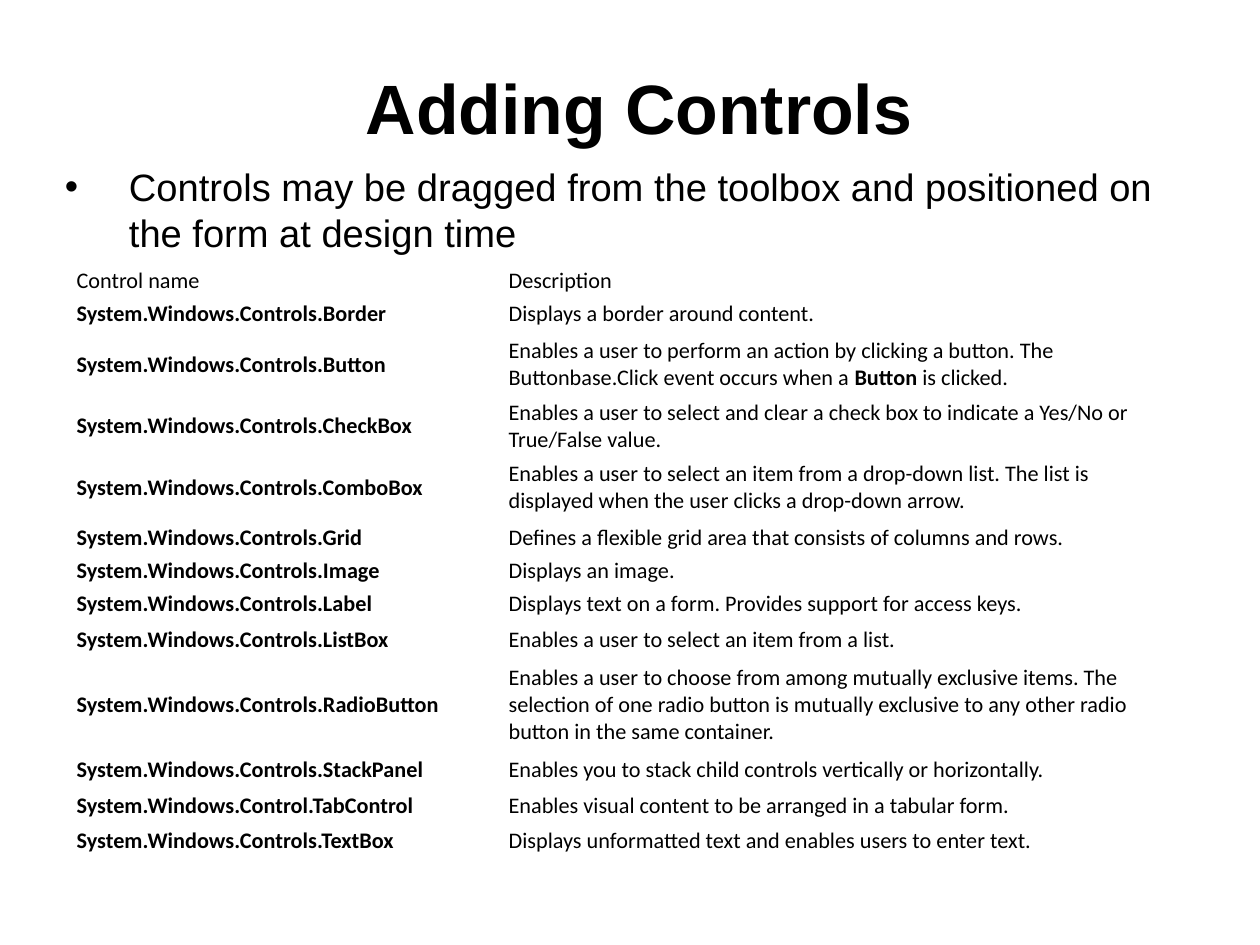
from lxml import etree
from pptx import Presentation
from pptx.dml.color import RGBColor
from pptx.enum import text
from pptx.oxml import ns
from pptx.util import Cm, Inches, Pt

BLACK = RGBColor(0, 0, 0)
COLS = 3.78, 5.75
ROWS = (
    (0.17, "Control name", "Description"),
    (0.31, "Controls.Border", "Displays a border around content."),
    (0.57, "Controls.Button",
     "Enables a user to perform an action by clicking a button. "
     "The Buttonbase.Click event occurs when a *Button* is clicked."),
    (0.44, "Controls.CheckBox",
     "Enables a user to select and clear a check box to indicate "
     "a Yes/No or True/False value."),
    (0.57, "Controls.ComboBox",
     "Enables a user to select an item from a drop-down list. "
     "The list is displayed when the user clicks a drop-down arrow."),
    (0.31, "Controls.Grid",
     "Defines a flexible grid area that consists of columns and rows."),
    (0.17, "Controls.Image", "Displays an image."),
    (0.31, "Controls.Label",
     "Displays text on a form. Provides support for access keys."),
    (0.31, "Controls.ListBox",
     "Enables a user to select an item from a list."),
    (0.83, "Controls.RadioButton",
     "Enables a user to choose from among mutually exclusive items. "
     "The selection of one radio button is mutually exclusive to any "
     "other radio button in the same container."),
    (0.31, "Controls.StackPanel",
     "Enables you to stack child controls vertically or horizontally."),
    (0.31, "Control.TabControl",
     "Enables visual content to be arranged in a tabular form."),
    (0.31, "Controls.TextBox",
     "Displays unformatted text and enables users to enter text."),
)


def style(par, name, size, bold=None):
    font = par.font
    font.name, font.size, font.bold = name, Pt(size), bold
    font.color.rgb = BLACK


def add_text(slide, box, words, size, bold=False):
    """Add a wrapped Arial text box and return its frame."""
    frame = slide.shapes.add_textbox(*map(Inches, box)).text_frame
    frame.word_wrap = True
    par = frame.paragraphs[0]
    par.text = words
    style(par, "Arial", size, bold)
    return frame


def add_title(slide, box):
    frame = add_text(slide, box, "Adding Controls", 44, True)
    frame.vertical_anchor = text.MSO_ANCHOR.MIDDLE
    frame.paragraphs[0].alignment = text.PP_ALIGN.CENTER


def add_bullet(slide, box):
    frame = add_text(slide, box, "Controls may be dragged from the toolbox "
                     "and positioned on the form at design time", 24)
    props = frame.paragraphs[0]._p.get_or_add_pPr()
    hang = Inches(0.56)
    props.set("marL", str(hang))
    props.set("indent", str(-hang))
    for tag, attrs in (("a:buFont", {"typeface": "Arial"}),
                       ("a:buChar", {"char": "•"})):
        mark = etree.Element(ns.qn(tag), attrs)
        props.insert_element_before(mark, "a:tabLst", "a:defRPr", "a:extLst")


def fill_cell(cell, words, bold):
    """Write a cell; words between asterisks are bold."""
    cell.fill.background()
    cell.vertical_anchor = text.MSO_ANCHOR.MIDDLE
    cell.margin_left = cell.margin_right = Inches(0.04)
    cell.margin_top = cell.margin_bottom = Inches(0.02)
    par = cell.text_frame.paragraphs[0]
    style(par, "Calibri", 14, bold)
    for i, part in enumerate(words.split("*")):
        run = par.add_run()
        run.text = part
        if i % 2:
            run.font.bold = True


def add_grid(slide, box):
    """Add the table of controls."""
    grid = slide.shapes.add_table(
        len(ROWS), len(COLS), *map(Inches, box)).table
    grid.first_row = grid.horz_banding = False
    for col, width in zip(grid.columns, COLS):
        col.width = Inches(width)
    for i, (height, name, about) in enumerate(ROWS):
        grid.rows[i].height = Inches(height)
        label = f"System.Windows.{name}" if i else name
        fill_cell(grid.cell(i, 0), label, i > 0)
        fill_cell(grid.cell(i, 1), about, False)


def main():
    deck = Presentation()
    # The page is metric: 28 by 21 cm.
    deck.slide_width, deck.slide_height = Cm(28), Cm(21)
    slide = deck.slides.add_slide(deck.slide_layouts[6])
    add_title(slide, (0.31, 0.51, 10.57, 0.84))
    add_bullet(slide, (0.47, 1.38, 9.92, 2.13))
    add_grid(slide, (0.63, 2.32, sum(COLS), 5.18))
    deck.save("out.pptx")


if __name__ == "__main__":
    main()
